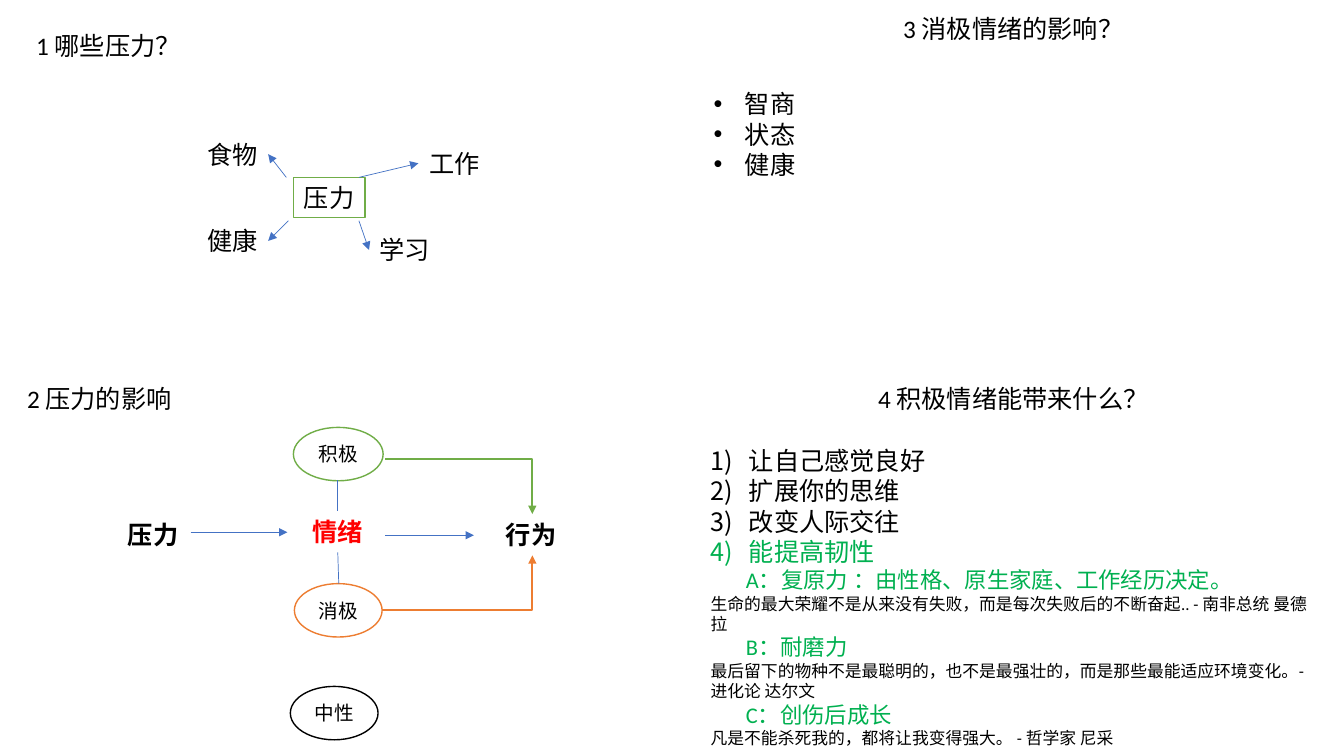
from lxml import etree
from pptx import Presentation
from pptx import util as u
from pptx.dml.color import RGBColor
from pptx.enum import shapes, text
from pptx.oxml.ns import qn

hues = {"black": "000000", "white": "FFFFFF", "red": "FF0000", "blue": "4472C4",
        "green": "70AD47", "orange": "ED7D31", "leaf": "00B050"}
prs = Presentation()
prs.slide_width, prs.slide_height = u.Inches(13.33), u.Inches(7.5)
slide = prs.slides.add_slide(prs.slide_layouts[6])


def write(words, box, size=18, hue="black", bold=False, align="LEFT", wrap=False,
          shape=None, edge=None, mark=None, hang=0):
    box = [u.Inches(n) for n in box]
    if shape:
        item = slide.shapes.add_shape(shape, *box)
        item.shadow.inherit = False
        item.fill.solid()
        item.fill.fore_color.rgb = RGBColor.from_string(hues["white"])
        item.line.color.rgb = RGBColor.from_string(hues[edge])
        item.line.width = u.Pt(1)
    else:
        item = slide.shapes.add_textbox(*box)
    frame = item.text_frame
    frame.word_wrap = wrap
    frame.vertical_anchor = text.MSO_ANCHOR.MIDDLE if shape else text.MSO_ANCHOR.TOP
    rows = [(words, size, hue, mark, hang)] if isinstance(words, str) else words
    for i, (line, size, hue, mark, hang) in enumerate(rows):
        para = frame.add_paragraph() if i else frame.paragraphs[0]
        para.alignment = text.PP_ALIGN[align]
        run = para.add_run()
        run.text = line
        run.font.size, run.font.bold, run.font.name = u.Pt(size), bold, "Calibri"
        run.font.color.rgb = RGBColor.from_string(hues[hue])
        props = para._p.get_or_add_pPr()
        if hang:
            props.set("marL", str(u.Inches(hang)))
        if mark:
            props.set("indent", str(-u.Inches(hang)))
            if mark == "•":
                etree.SubElement(props, qn("a:buFont"), typeface="Arial")
                etree.SubElement(props, qn("a:buChar"), char=mark)
            else:
                etree.SubElement(props, qn("a:buAutoNum"), type=mark)


def link(start, end, hue="blue", width=0.5, head=True, bent=False):
    kind = shapes.MSO_CONNECTOR.ELBOW if bent else shapes.MSO_CONNECTOR.STRAIGHT
    line = slide.shapes.add_connector(kind, *[u.Inches(n) for n in start + end])
    line.line.color.rgb = RGBColor.from_string(hues[hue])
    line.line.width = u.Pt(width)
    props = line._element.spPr
    if bent:
        props.find(qn("a:prstGeom")).set("prst", "bentConnector2")
    if head:
        etree.SubElement(props.find(qn("a:ln")), qn("a:tailEnd"), type="triangle")
    etree.SubElement(props, qn("a:effectLst"))


write("1 哪些压力？", (0.25, 0.25, 1.65, 0.4), align="CENTER")
write("2 压力的影响", (0.17, 3.75, 1.65, 0.4), wrap=True)
write("3 消极情绪的影响？", (8.86, 0.08, 2.41, 0.4))
write("4 积极情绪能带来什么？", (8.61, 3.75, 2.91, 0.4))

write("压力", (2.91, 1.76, 0.71, 0.4), align="CENTER",
      shape=shapes.MSO_SHAPE.RECTANGLE, edge="green")
for word, left, top, start, end in [
        ("食物", 1.95, 1.33, (2.84, 1.76), (2.66, 1.53)),
        ("健康", 1.95, 2.19, (2.86, 2.19), (2.66, 2.39)),
        ("工作", 4.15, 1.42, (3.56, 1.76), (4.15, 1.62)),
        ("学习", 3.66, 2.28, (3.56, 2.19), (3.66, 2.48))]:
    write(word, (left, top, 0.71, 0.4), align="CENTER")
    link(start, end)

for word, left, top, hue in [("压力", 1.17, 5.1, "black"), ("情绪", 3, 5.07, "red"),
                             ("行为", 4.92, 5.1, "black")]:
    write(word, (left, top, 0.71, 0.4), hue=hue, bold=True)
for word, left, top, wide, edge in [("积极", 2.91, 4.24, 0.89, "green"),
                                    ("消极", 2.92, 5.79, 0.87, "orange"),
                                    ("中性", 2.88, 6.81, 0.87, "black")]:
    write(word, (left, top, wide, 0.53), size=14, align="CENTER", wrap=True,
          shape=shapes.MSO_SHAPE.OVAL, edge=edge)
link((1.89, 5.28), (2.85, 5.28))
link((3.82, 5.31), (4.7, 5.31))
link((3.35, 4.76), (3.35, 5.07), head=False)
link((3.36, 5.79), (3.35, 5.48), head=False)
link((3.79, 6.05), (5.28, 5.51), hue="orange", width=1.5, bent=True)
link((3.82, 4.55), (5.28, 5.1), hue="green", width=1.5, bent=True)

write([(word, 18, "black", "•", 0.31) for word in ("智商", "状态", "健康")],
      (6.98, 0.83, 1.02, 1.01))

gains = [("让自己感觉良好", "black"), ("扩展你的思维", "black"),
         ("改变人际交往", "black"), ("能提高韧性", "leaf")]
rows = [(word, 18, hue, "arabicParenR", 0.38) for word, hue in gains]
for point, quote in [
        ("A：复原力 ：由性格、原生家庭、工作经历决定。",
         "生命的最大荣耀不是从来没有失败，而是每次失败后的不断奋起.. - 南非总统 曼德拉"),
        ("B：耐磨力",
         "最后留下的物种不是最聪明的，也不是最强壮的，而是那些最能适应环境变化。- 进化论 达尔文"),
        ("C：创伤后成长", "凡是不能杀死我的，都将让我变得强大。 - 哲学家 尼采")]:
    rows += [(point, 16, "leaf", None, 0.35), (quote, 12, "black", None, 0)]
write(rows, (6.95, 4.37, 6.23, 3.13), wrap=True)

prs.save("out.pptx")
